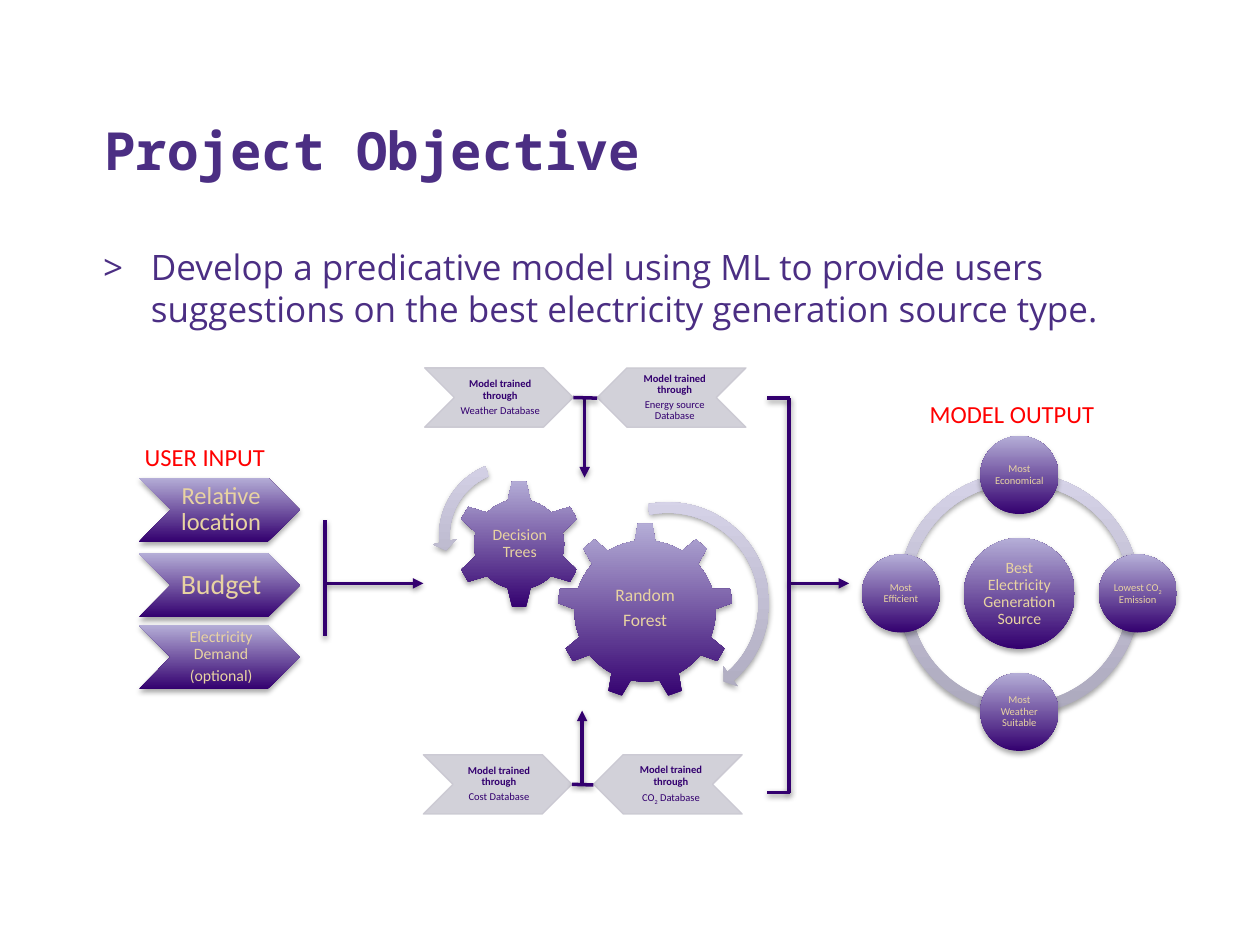
from lxml.etree import SubElement
from pptx import Presentation
from pptx.dml.color import RGBColor
from pptx.enum.shapes import MSO_CONNECTOR, MSO_SHAPE
from pptx.enum.text import MSO_ANCHOR, MSO_AUTO_SIZE, PP_ALIGN
from pptx.oxml.ns import qn
from pptx.util import Pt

SCALE = 9144
PURPLE, HEADING, GOLD, RED = "33006F", "4B2E83", "E8D3A2", "FF0000"
STRONG = (PURPLE, "B5AED7")
SOFT = ("ACA9BD", "D6D3E8")


def px(length):
    return length * SCALE


def color(value):
    return RGBColor.from_string(value)


class ObjectiveSlide:
    font = "Calibri"

    def __init__(self, deck):
        self.page = deck.slides.add_slide(deck.slide_layouts[6])

    def shadow(self, item, distance, opacity):
        effects = item._element.spPr.find(qn("a:effectLst"))
        if effects is None:
            effects = SubElement(item._element.spPr, qn("a:effectLst"))
        outer = SubElement(effects, qn("a:outerShdw"), blurRad="40000",
                           dist=str(distance), dir="5400000", rotWithShape="0")
        black = SubElement(outer, qn("a:srgbClr"), val="000000")
        SubElement(black, qn("a:alpha"), val=str(opacity * 1000))

    def shape(self, kind, left, top, width, height):
        shape = self.page.shapes.add_shape(
            kind, px(left), px(top), px(width), px(height))
        shape.shadow.inherit = False
        return shape

    def glossy(self, kind, left, top, width, height, colors=STRONG, adjust=()):
        shape = self.shape(kind, left, top, width, height)
        shape.fill.gradient()
        shape.fill.gradient_angle = 90
        for stop, value in zip(shape.fill.gradient_stops, colors):
            stop.color.rgb = color(value)
        shape.line.fill.background()
        for index, thousandths in enumerate(adjust):
            shape.adjustments[index] = thousandths / 1000
        self.shadow(shape, 23000, 35)

    def pale_chevron(self, left, top, rotation):
        shape = self.shape(MSO_SHAPE.CHEVRON, left, top, 118, 47)
        shape.rotation = rotation
        shape.fill.solid()
        shape.fill.fore_color.rgb = color("CECCD5")
        shape.line.color.rgb = color("C9C7D1")
        shape.line.width = Pt(0.75)
        for tone in shape._element.spPr.iter(qn("a:srgbClr")):
            SubElement(tone, qn("a:alpha"), val="90000")
        return shape

    def text(self, left, top, width, height, lines, size, tint,
             font=None, insets=(10, 5, 10, 5), anchor=MSO_ANCHOR.TOP):
        box = self.page.shapes.add_textbox(px(left), px(top), px(width), px(height))
        frame = box.text_frame
        frame.word_wrap = True
        frame.vertical_anchor = anchor
        (frame.margin_left, frame.margin_top,
         frame.margin_right, frame.margin_bottom) = map(px, insets)
        frame.text = "\n".join(lines)
        for para in frame.paragraphs:
            first, *others = para.text.split("_")
            para.text = first
            for index, words in enumerate(others):
                span = para.add_run()
                span.text = words
                if index % 2 == 0:
                    span.font._element.set("baseline", "-25000")
            for span in para.runs:
                span.font.name = font or self.font
                span.font.size = Pt(size)
                span.font.color.rgb = color(tint)
        return frame

    def label(self, left, top, width, height, lines, size,
              tint=GOLD, insets=(1, 1, 1, 1)):
        frame = self.text(left, top, width, height, lines, size, tint,
                          insets=insets, anchor=MSO_ANCHOR.MIDDLE)
        for para in frame.paragraphs:
            para.alignment = PP_ALIGN.CENTER
            para.line_spacing = 0.9
            para.space_after = Pt(round(size * 0.35, 1))
        return frame

    def title(self, words):
        frame = self.text(73, 41, 895, 108, [words], 30, HEADING,
                          "Noto Sans Mono", anchor=MSO_ANCHOR.BOTTOM)
        para = frame.paragraphs[0]
        para.line_spacing = 0.9
        para.space_before = Pt(6)
        para.runs[0].font.bold = True

    def bullet(self, words):
        frame = self.text(72, 190, 896, 439, [words], 20, HEADING, "Open Sans")
        para = frame.paragraphs[0]
        para.space_before = Pt(4)
        properties = para._p.get_or_add_pPr()
        properties.set("marL", str(px(38)))
        properties.set("indent", str(px(-38)))
        SubElement(properties, qn("a:buFont"), typeface="Open Sans")
        SubElement(properties, qn("a:buChar"), char=">")

    def caption(self, left, top, width, words):
        frame = self.text(left, top, width, 34, [words], 14, RED)
        frame.auto_size = MSO_AUTO_SIZE.SHAPE_TO_FIT_TEXT

    def user_input(self, top, lines, size):
        self.glossy(MSO_SHAPE.CHEVRON, 110, top, 128, 51)
        self.label(136, top, 77, 51, lines, size, insets=(2, 1, 0, 1))

    def disc(self, center_x, center_y, radius, inner, words, size):
        self.glossy(MSO_SHAPE.OVAL, center_x - radius, center_y - radius,
                    2 * radius, 2 * radius)
        self.label(center_x - inner, center_y - inner, 2 * inner, 2 * inner,
                   [words], size)

    def database(self, left, top, name, rotation=0):
        chevron = self.pale_chevron(left, top, rotation)
        text_left, width = (left + 27, 68) if rotation else (left + 24, 71)
        frame = self.label(text_left, top, width, 47,
                           ["Model trained through", name], 6, PURPLE, (1, 0, 0, 0))
        frame.paragraphs[0].runs[0].font.bold = True
        return chevron

    def line(self, x1, y1, x2, y2, arrow=False):
        line = self.page.shapes.add_connector(
            MSO_CONNECTOR.STRAIGHT, px(x1), px(y1), px(x2), px(y2))
        line.line.color.rgb = color(PURPLE)
        line.line.width = Pt(2)
        if arrow:
            SubElement(line.line._get_or_add_ln(), qn("a:tailEnd"), type="triangle")
        self.shadow(line, 20000, 38)
        return line


def main():
    deck = Presentation()
    deck.slide_width, deck.slide_height = px(1000), px(750)
    slide = ObjectiveSlide(deck)

    slide.title("Project Objective")
    slide.bullet("Develop a predicative model using ML to provide users "
                 "suggestions on the best electricity generation source type.")

    for top, lines, size in ((379, ["Relative location"], 14),
                             (439, ["Budget"], 16),
                             (496, ["Electricity Demand", "(optional)"], 9)):
        slide.user_input(top, lines, size)

    slide.glossy(MSO_SHAPE.GEAR_9, 442, 415, 140, 140)
    slide.label(470, 447, 84, 72, ["Random", "Forest"], 10)
    slide.glossy(MSO_SHAPE.GEAR_6, 361, 381, 102, 102)
    slide.label(387, 407, 51, 50, ["Decision Trees"], 9)
    slide.glossy(MSO_SHAPE.CIRCULAR_ARROW, 444, 393, 172, 172, SOFT,
                 (49, 3126, 29500, 155067, 57))
    slide.glossy(MSO_SHAPE.LEFT_CIRCULAR_ARROW, 343, 360, 130, 130, SOFT,
                 (65, 4300, 104891, 148378, 75))

    center_x, center_y, orbit = 809, 471, 94
    quarter = 54000
    for turn in (2, 1, 0, 3):
        slide.glossy(MSO_SHAPE.BLOCK_ARC, center_x - 96, center_y - 96, 192, 192,
                     SOFT, (turn * quarter, (turn + 1) % 4 * quarter, 46))
    slide.disc(center_x, center_y, 44, 31, "Best Electricity Generation Source", 9)
    for step_x, step_y, words in ((0, -1, "Most Economical"),
                                  (1, 0, "Lowest CO_2_ Emission"),
                                  (0, 1, "Most Weather Suitable"),
                                  (-1, 0, "Most Efficient")):
        slide.disc(center_x + step_x * orbit, center_y + step_y * orbit,
                   31, 22, words, 6)

    for x1, x2 in ((259, 336), (626, 674)):
        slide.line(x1, 463, x2, 463, arrow=True)

    for left, right, top, names, stem, tip in (
            (336, 471, 599, ("Cost Database", "CO_2_ Database"), 462, 564),
            (337, 474, 292, ("Weather Database", "Energy source Database"), 464, 379)):
        middle = top + 24
        source = slide.database(left, top, names[0])
        slide.database(right, top, names[1], rotation=180)
        slide.line(stem, middle, stem, tip, arrow=True)
        link = slide.line(left + 118, middle, right, middle)
        link.begin_connect(source, 3)

    slide.line(258, 413, 258, 505)
    slide.line(626, 316, 626, 629)
    for y in (316, 629):
        slide.line(609, y, 627, y)

    slide.caption(105, 346, 120, "USER INPUT")
    slide.caption(728, 312, 163, "MODEL OUTPUT")
    deck.save("out.pptx")


if __name__ == "__main__":
    main()
